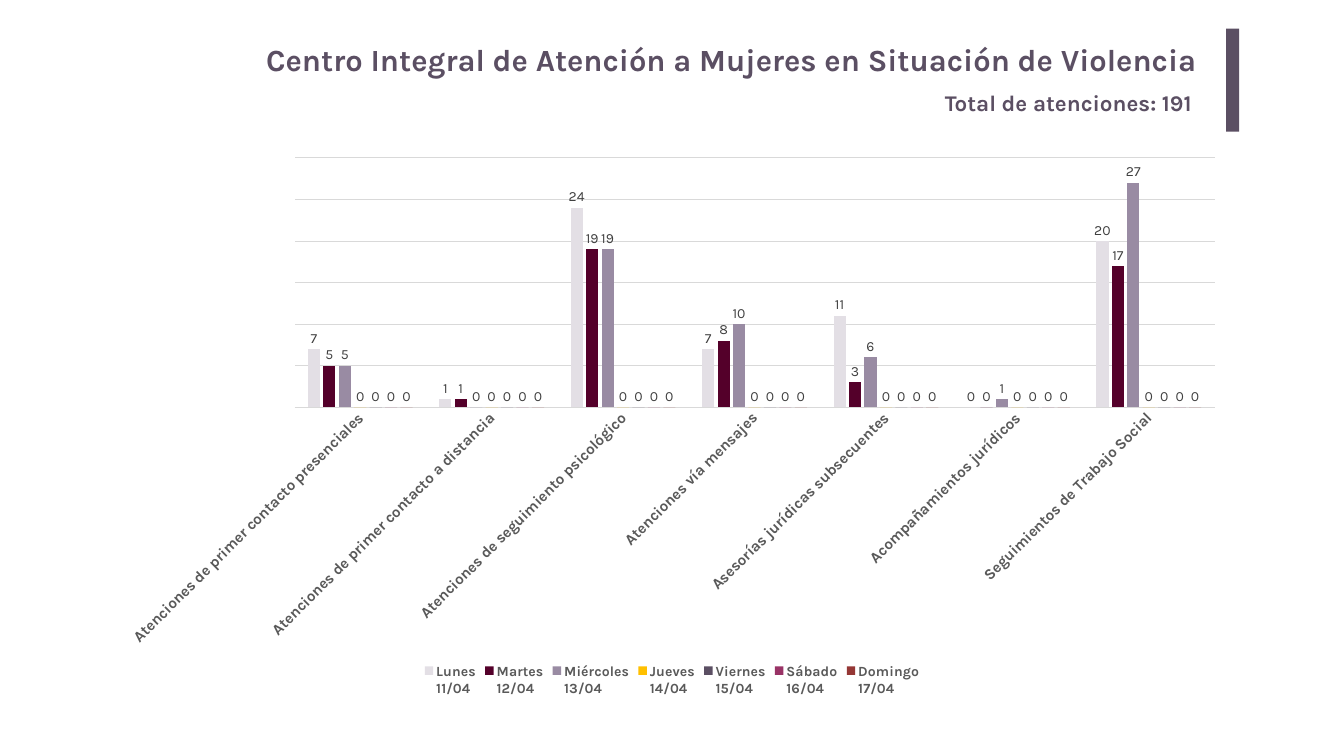
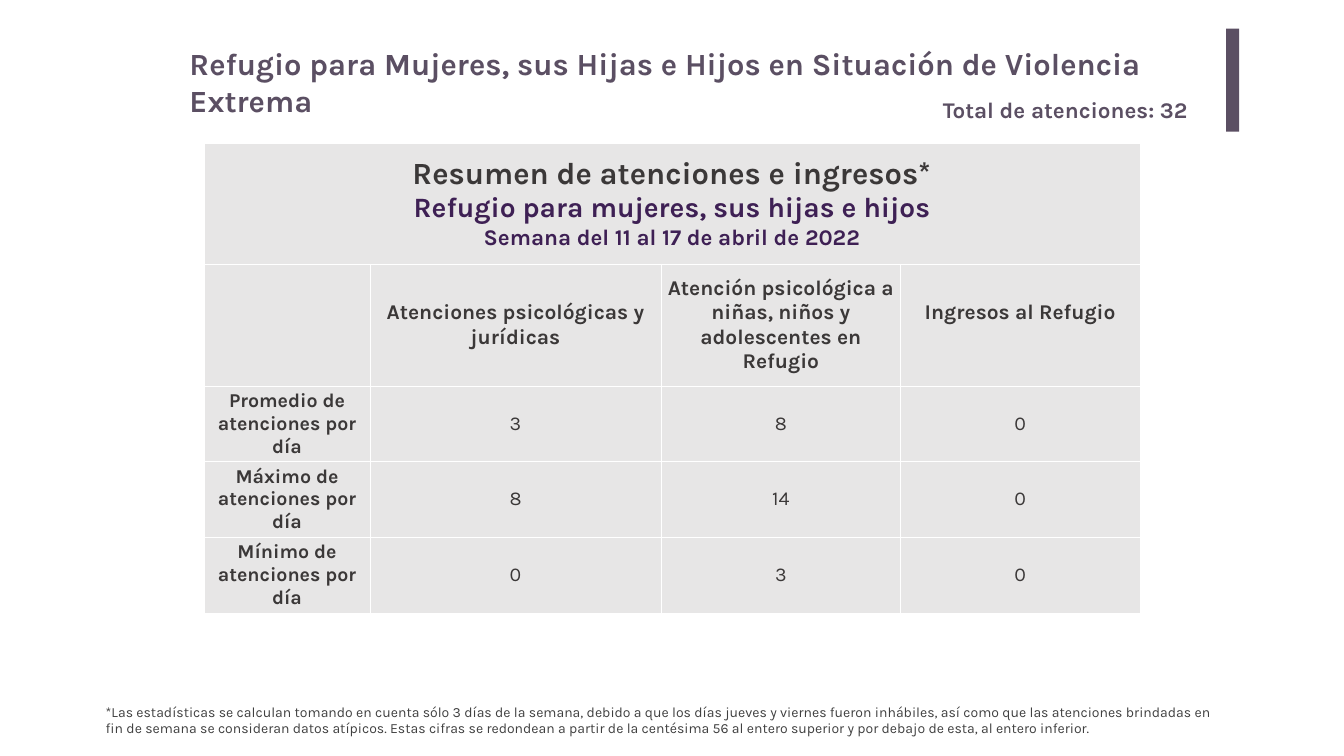
from typing import NamedTuple

import pptx
import pptx.chart.data
import pptx.dml.color
import pptx.enum.chart
import pptx.enum.shapes
import pptx.enum.text
import pptx.oxml
import pptx.oxml.ns
import pptx.util
from pptx.chart.chart import Chart
from pptx.slide import Slide
from pptx.table import _Cell

RGBColor = pptx.dml.color.RGBColor
Align = pptx.enum.text.PP_ALIGN
Anchor = pptx.enum.text.MSO_ANCHOR

EMU_PER_PX = 9144  # 100 px to the inch
FONT = "Karla"
PLUM = RGBColor(0x5B, 0x4F, 0x63)
VIOLET = RGBColor(0x3E, 0x20, 0x54)
INK = RGBColor(0x3B, 0x38, 0x38)
DARK_GREY = RGBColor(0x40, 0x40, 0x40)
MID_GREY = RGBColor(0x59, 0x59, 0x59)
RULE_GREY = RGBColor(0xD9, 0xD9, 0xD9)
CELL_GREY = RGBColor(0xE7, 0xE6, 0xE6)
WHITE = RGBColor(0xFF, 0xFF, 0xFF)


class Box(NamedTuple):
    left: int
    top: int
    width: int
    height: int

    def emu(self) -> tuple[int, ...]:
        return tuple(px(length) for length in self)


class Style(NamedTuple):
    size: int
    color: RGBColor
    bold: bool = True


class Day(NamedTuple):
    name: str
    color: RGBColor
    counts: tuple[int, ...]


class Line(NamedTuple):
    text: str
    style: Style


TITLE = Style(44, PLUM)
TOTAL = Style(32, PLUM)
FOOTNOTE = Style(20, DARK_GREY, False)
HEADING = Style(30, INK)
ROW_LABEL = Style(28, INK)
FIGURE = Style(28, INK, False)
AXIS = Style(22, MID_GREY)
LEGEND = Style(20, MID_GREY)
DATA_LABEL = Style(20, DARK_GREY, False)

ACCENT_BAR = Box(2433, 57, 26, 204)

SERVICES = (
    "Atenciones de primer contacto presenciales",
    "Atenciones de primer contacto a distancia",
    "Atenciones de seguimiento psicológico",
    "Atenciones vía mensajes",
    "Asesorías jurídicas subsecuentes",
    "Acompañamientos jurídicos",
    "Seguimientos de Trabajo Social",
)
NO_SERVICE = (0,) * len(SERVICES)
DAYS = (
    Day("Lunes\n11/04", RGBColor(0xE3, 0xDF, 0xE5), (7, 1, 24, 7, 11, 0, 20)),
    Day("Martes\n12/04", RGBColor(0x54, 0x00, 0x2A), (5, 1, 19, 8, 3, 0, 17)),
    Day("Miércoles\n13/04", RGBColor(0x99, 0x8B, 0xA3), (5, 0, 19, 10, 6, 1, 27)),
    Day("Jueves\n14/04", RGBColor(0xFF, 0xC0, 0x00), NO_SERVICE),
    Day("Viernes\n15/04", PLUM, NO_SERVICE),
    Day("Sábado\n16/04", RGBColor(0x99, 0x33, 0x66), NO_SERVICE),
    Day("Domingo\n17/04", RGBColor(0x95, 0x37, 0x35), NO_SERVICE),
)

SUMMARY_HEAD = (
    Line("Resumen de atenciones e ingresos*", Style(44, INK)),
    Line("Refugio para mujeres, sus hijas e hijos", Style(40, VIOLET)),
    Line("Semana del 11 al 17 de abril de 2022", Style(32, VIOLET)),
)
SUMMARY_COLUMNS = (
    "Atenciones psicológicas y jurídicas",
    "Atención psicológica a niñas, niños y adolescentes en Refugio",
    "Ingresos al Refugio",
)
SUMMARY_ROWS = (
    ("Promedio de atenciones por día", 3, 8, 0),
    ("Máximo de atenciones por día", 8, 14, 0),
    ("Mínimo de atenciones por día", 0, 3, 0),
)
COLUMN_WIDTHS = (329, 578, 475, 475)
ROW_HEIGHTS = (240, 242, 150, 150, 150)
FOOTNOTE_TEXT = (
    "*Las estadísticas se calculan tomando en cuenta sólo 3 días de la semana, "
    "debido a que los días jueves y viernes fueron inhábiles, así como que las "
    "atenciones brindadas en fin de semana se consideran datos atípicos. Estas "
    "cifras se redondean a partir de la centésima 56 al entero superior y por "
    "debajo de esta, al entero inferior."
)


def px(length: int) -> int:
    return length * EMU_PER_PX


def apply_style(font, style: Style) -> None:
    font.name = FONT
    font.size = pptx.util.Pt(style.size)
    font.bold = style.bold
    font.color.rgb = style.color


def write(frame, lines: tuple[Line, ...], align: Align) -> None:
    frame.text = "\n".join(line.text for line in lines)
    for paragraph, line in zip(frame.paragraphs, lines):
        paragraph.alignment = align
        for run in paragraph.runs:
            apply_style(run.font, line.style)


def add_text(slide: Slide, box: Box, text: str, style: Style) -> None:
    frame = slide.shapes.add_textbox(*box.emu()).text_frame
    frame.word_wrap = True
    write(frame, (Line(text, style),), Align.LEFT)


def add_headed_slide(deck, title: str, title_box: Box, align: Align, anchor: Anchor,
                     total: str, total_box: Box) -> Slide:
    """Add a slide with its title, accent bar and total."""
    slide = deck.slides.add_slide(deck.slide_layouts[5])
    heading = slide.shapes.title
    heading.left, heading.top, heading.width, heading.height = title_box.emu()
    frame = heading.text_frame
    frame.word_wrap = True
    frame.auto_size = pptx.enum.text.MSO_AUTO_SIZE.NONE
    frame.vertical_anchor = anchor
    if align == Align.RIGHT:
        frame.margin_left = frame.margin_right = px(20)
    write(frame, (Line(title, TITLE),), align)

    bar = slide.shapes.add_shape(pptx.enum.shapes.MSO_SHAPE.RECTANGLE, *ACCENT_BAR.emu())
    bar.shadow.inherit = False
    bar.fill.solid()
    bar.fill.fore_color.rgb = PLUM
    bar.line.fill.background()
    add_text(slide, total_box, total, TOTAL)
    return slide


def format_axes(chart: Chart) -> None:
    services = chart.category_axis
    services.major_tick_mark = pptx.enum.chart.XL_TICK_MARK.NONE
    services.format.line.color.rgb = RULE_GREY
    services.format.line.width = pptx.util.Pt(0.75)
    apply_style(services.tick_labels.font, AXIS)
    label_body = services._element.find(pptx.oxml.ns.qn("c:txPr")).bodyPr
    label_body.set("rot", "-2700000")
    label_body.set("vert", "horz")

    counts = chart.value_axis
    counts.visible = False
    counts.minimum_scale, counts.maximum_scale, counts.major_unit = 0, 30, 5
    counts.has_major_gridlines = True
    gridline = counts.major_gridlines.format.line
    gridline.color.rgb = RULE_GREY
    gridline.width = pptx.util.Pt(0.75)


def add_attention_chart(slide: Slide, box: Box) -> None:
    data = pptx.chart.data.CategoryChartData()
    data.categories = SERVICES
    for day in DAYS:
        data.add_series(day.name, day.counts)
    chart = slide.shapes.add_chart(
        pptx.enum.chart.XL_CHART_TYPE.COLUMN_CLUSTERED, *box.emu(), data).chart
    chart.has_title = False
    chart.font.name = FONT
    chart.font.size = pptx.util.Pt(10)
    format_axes(chart)

    chart.has_legend = True
    chart.legend.position = pptx.enum.chart.XL_LEGEND_POSITION.BOTTOM
    chart.legend.include_in_layout = False
    apply_style(chart.legend.font, LEGEND)

    plot = chart.plots[0]
    plot.vary_by_categories = False
    plot.gap_width = 219
    plot.overlap = -27
    for series, day in zip(plot.series, DAYS):
        series.format.fill.solid()
        series.format.fill.fore_color.rgb = day.color
        labels = series.data_labels
        labels.show_value = True
        labels.position = pptx.enum.chart.XL_LABEL_POSITION.OUTSIDE_END
        apply_style(labels.font, DATA_LABEL)


def format_cell(cell: _Cell) -> None:
    """Give a cell white borders, a grey fill and no margins."""
    properties = cell._tc.get_or_add_tcPr()
    for side in ("lnL", "lnR", "lnT", "lnB"):
        properties.append(pptx.oxml.parse_xml(
            f'<a:{side} {pptx.oxml.ns.nsdecls("a")} w="12700"><a:solidFill>'
            f'<a:srgbClr val="{WHITE}"/></a:solidFill></a:{side}>'))
    cell.fill.solid()
    cell.fill.fore_color.rgb = CELL_GREY
    cell.vertical_anchor = Anchor.MIDDLE
    cell.margin_left = cell.margin_right = cell.margin_top = cell.margin_bottom = 0


def add_summary_table(slide: Slide, left: int, top: int) -> None:
    box = Box(left, top, sum(COLUMN_WIDTHS), sum(ROW_HEIGHTS))
    table = slide.shapes.add_table(
        len(ROW_HEIGHTS), len(COLUMN_WIDTHS), *box.emu()).table
    for column, width in zip(table.columns, COLUMN_WIDTHS):
        column.width = px(width)
    for row, height in zip(table.rows, ROW_HEIGHTS):
        row.height = px(height)
    for cell in table.iter_cells():
        format_cell(cell)

    banner = table.cell(0, 0)
    banner.merge(table.cell(0, len(COLUMN_WIDTHS) - 1))
    write(banner.text_frame, SUMMARY_HEAD, Align.CENTER)
    for c, heading in enumerate(SUMMARY_COLUMNS, start=1):
        write(table.cell(1, c).text_frame, (Line(heading, HEADING),), Align.CENTER)
    table.cell(1, len(SUMMARY_COLUMNS)).margin_bottom = px(50)
    for r, values in enumerate(SUMMARY_ROWS, start=2):
        for c, value in enumerate(values):
            style = FIGURE if c else ROW_LABEL
            write(table.cell(r, c).text_frame, (Line(str(value), style),), Align.CENTER)


def main() -> None:
    deck = pptx.Presentation()
    deck.slide_width, deck.slide_height = px(2667), px(1500)

    center = add_headed_slide(
        deck, "Centro Integral de Atención a Mujeres en Situación de Violencia",
        Box(366, 67, 2030, 102), Align.RIGHT, Anchor.MIDDLE,
        "Total de atenciones: 191", Box(1865, 171, 531, 65))
    add_attention_chart(center, Box(212, 291, 2243, 1098))

    refuge = add_headed_slide(
        deck, "Refugio para Mujeres, sus Hijas e Hijos en Situación de Violencia Extrema",
        Box(366, 84, 2073, 84), Align.LEFT, Anchor.TOP,
        "Total de atenciones: 32", Box(1861, 185, 535, 64))
    add_summary_table(refuge, 405, 284)
    add_text(refuge, Box(200, 1390, 2233, 77), FOOTNOTE_TEXT, FOOTNOTE)

    deck.save("out.pptx")


if __name__ == "__main__":
    main()
